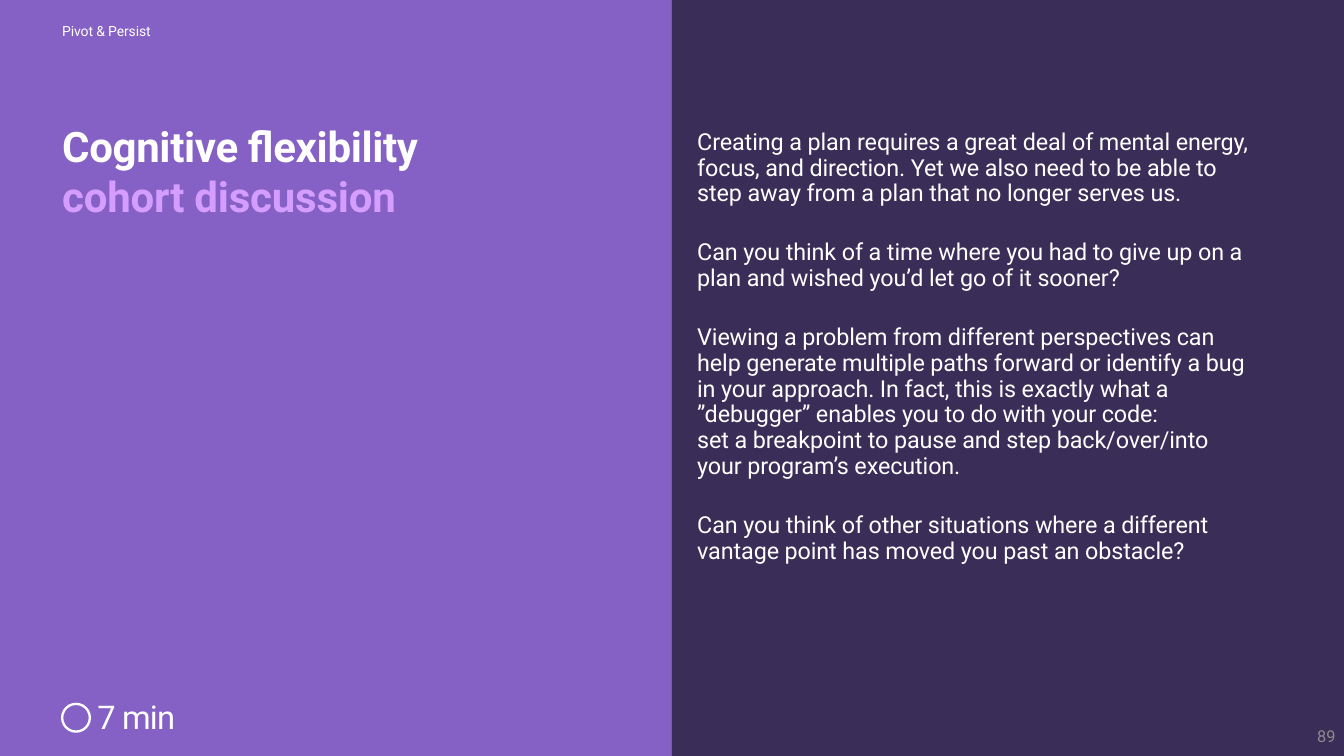
import pptx
import pptx.util
import pptx.dml.color
import pptx.enum.shapes
import pptx.enum.text
import pptx.oxml.ns
import lxml.etree

Inches = pptx.util.Inches
Pt = pptx.util.Pt
FONT = "Roboto"
COLORS = {
    "purple": "8560C5",
    "navy": "3A2D57",
    "white": "FFFFFF",
    "lilac": "D49DFF",
    "gray": "8C8C8C",
}


def color(name):
    return pptx.dml.color.RGBColor.from_string(COLORS[name])


def format_run(run, size, color_name, spacing=0, bold=False):
    run.font.name = FONT
    run.font.size = Pt(size)
    run.font.bold = bold
    run.font.color.rgb = color(color_name)
    run._r.get_or_add_rPr().set("spc", str(spacing))


presentation = pptx.Presentation()
presentation.slide_width = Inches(16)
presentation.slide_height = Inches(9)
slide = presentation.slides.add_slide(presentation.slide_layouts[1])
title = slide.shapes.title
body = slide.placeholders[1]

# Two half-slide panels, behind the placeholders
for index, panel_color in enumerate(("purple", "navy")):
    panel = slide.shapes.add_shape(
        pptx.enum.shapes.MSO_SHAPE.RECTANGLE, Inches(8 * index), 0, Inches(8), Inches(9))
    panel.shadow.inherit = False
    panel.fill.solid()
    panel.fill.fore_color.rgb = color(panel_color)
    panel.line.fill.background()
    slide.shapes._spTree.insert(2 + index, panel._element)

# Title and body frames
for placeholder, (left, top, width, height), inset in (
    (title, (0.74, 1.42, 5.38, 1.23), 0.01),
    (body, (8.3, 1.49, 6.63, 5.24), 0.05),
):
    placeholder.left, placeholder.top = Inches(left), Inches(top)
    placeholder.width, placeholder.height = Inches(width), Inches(height)
    frame = placeholder.text_frame
    frame.word_wrap = True
    frame.auto_size = pptx.enum.text.MSO_AUTO_SIZE.NONE
    frame.vertical_anchor = pptx.enum.text.MSO_ANCHOR.TOP
    frame.margin_left = frame.margin_right = frame.margin_bottom = 0
    frame.margin_top = Inches(inset)

# Two-colour title
heading = title.text_frame.paragraphs[0]
heading.alignment = pptx.enum.text.PP_ALIGN.LEFT
for text, color_name, spacing in (
    ("Cognitive flexibility ", "white", -30),
    ("cohort discussion", "lilac", -20),
):
    run = heading.add_run()
    run.text = text
    format_run(run, 36, color_name, spacing, bold=True)

# Discussion prompts
prompts = [
    "Creating a plan requires a great deal of mental energy, focus, and direction. "
    "Yet we also need to be able to step away from a plan that no longer serves us.",
    "Can you think of a time where you had to give up on a plan and wished you’d let go of it sooner?",
    "Viewing a problem from different perspectives can help generate multiple paths forward "
    "or identify a bug in your approach. In fact, this is exactly what a ”debugger” enables "
    "you to do with your code: \vset a breakpoint to pause and step back/over/into your "
    "program’s execution.",
    "Can you think of other situations where a different vantage point has moved you past an obstacle?",
]
body.text_frame.text = "\n".join(prompts)
for index, paragraph in enumerate(body.text_frame.paragraphs):
    properties = paragraph._p.get_or_add_pPr()
    properties.set("marL", "0")
    properties.set("indent", "0")
    lxml.etree.SubElement(properties, pptx.oxml.ns.qn("a:buNone"))
    paragraph.line_spacing = Pt(22)
    paragraph.space_before = Pt(28.8 if index else 0)
    for run in paragraph.runs:
        format_run(run, 20, "white", -10)

# Timer ring
ring = slide.shapes.add_shape(
    pptx.enum.shapes.MSO_SHAPE.OVAL, Inches(0.74), Inches(8.38), Inches(0.33), Inches(0.33))
ring.shadow.inherit = False
ring.fill.background()
ring.line.color.rgb = color("white")
ring.line.width = Pt(2)

# Header, timer label and page number
for text, (left, top, width, height), inset, size, color_name, spacing in (
    ("Pivot & Persist", (0.74, 0.26, 1.38, 0.22), 0.01, 12, "white", -10),
    ("7 min", (1.16, 8.26, 0.96, 0.51), 0.04, 28, "white", -70),
    ("89", (12.4, 8.52, 3.5, 0.48), 0, 14, "gray", 0),
):
    label = slide.shapes.add_textbox(Inches(left), Inches(top), Inches(width), Inches(height))
    frame = label.text_frame
    frame.word_wrap = True
    frame.margin_left = frame.margin_right = frame.margin_bottom = 0
    frame.margin_top = Inches(inset)
    frame.text = text
    format_run(frame.paragraphs[0].runs[0], size, color_name, spacing)

# The page number, last of the labels, sits in the right corner
frame.vertical_anchor = pptx.enum.text.MSO_ANCHOR.MIDDLE
frame.paragraphs[0].alignment = pptx.enum.text.PP_ALIGN.RIGHT

presentation.save("out.pptx")
